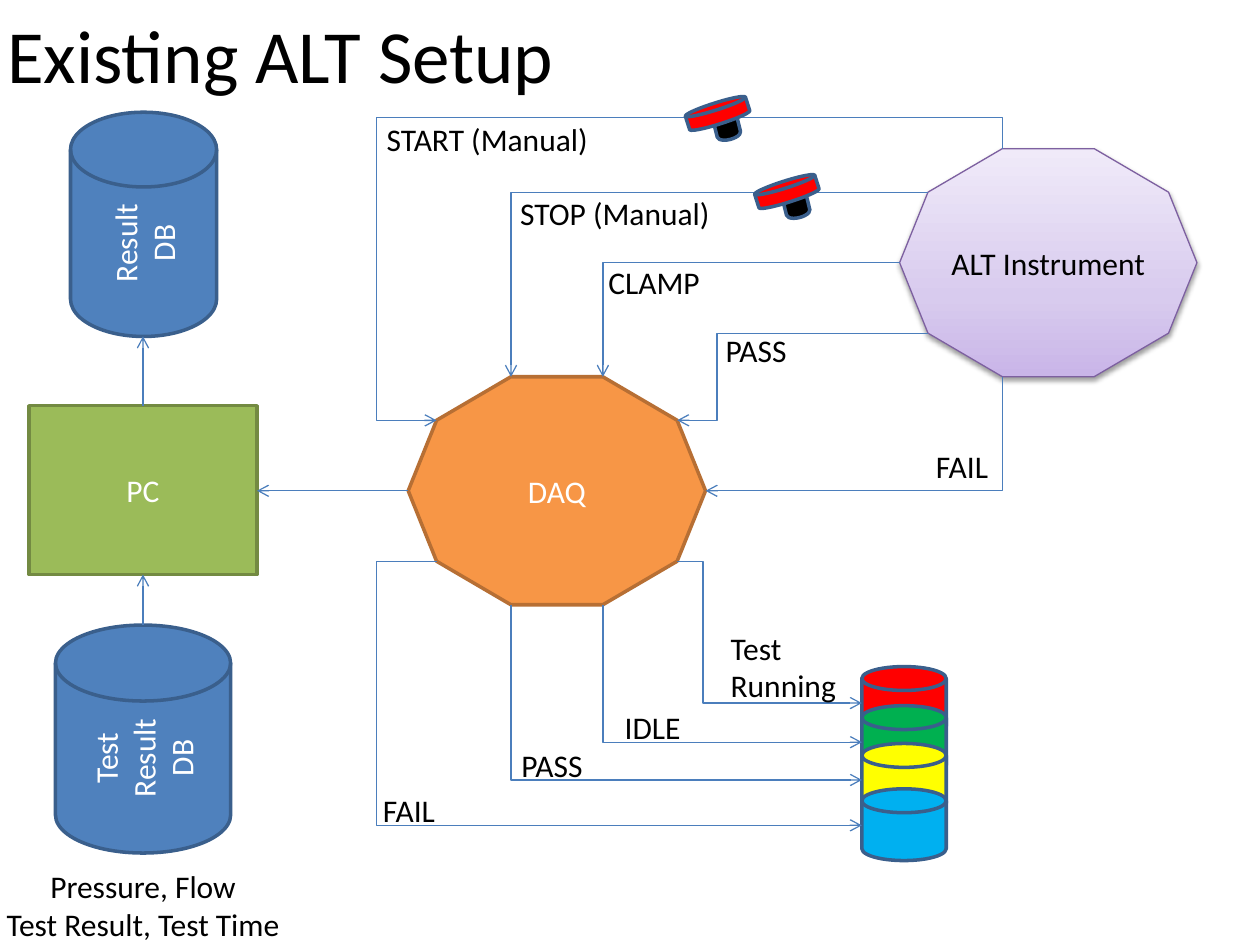
from copy import deepcopy
from math import cos, radians, sin

from lxml.etree import SubElement
from pptx import Presentation
from pptx.dml.color import RGBColor
from pptx.enum.shapes import MSO_CONNECTOR, MSO_SHAPE
from pptx.enum.text import MSO_ANCHOR, MSO_AUTO_SIZE, PP_ALIGN
from pptx.oxml.ns import qn
from pptx.util import Inches, Pt

COLORS = {
    "black": "000000", "white": "FFFFFF", "database": "4F81BD", "drum_line": "3A5F8C",
    "pc": "9BBB59", "pc_line": "738A42", "daq": "F79646", "daq_line": "B76F34",
    "alt_line": "7D60A0", "alt_low": "C9B5E8", "alt_mid": "D8CBEE", "alt_high": "F0EAF9",
    "wire": "4B7EBC", "red": "FF0000", "green": "00B050", "yellow": "FFFF00", "blue": "00B0F0",
}
DRUM = MSO_SHAPE.FLOWCHART_DIRECT_ACCESS_STORAGE


def rgb(name):
    """Return the named palette colour."""
    return RGBColor.from_string(COLORS[name])


def write(frame, lines, color="black", size=18, align=PP_ALIGN.LEFT):
    """Write one paragraph per line into a text frame."""
    for index, line in enumerate(lines):
        paragraph = frame.add_paragraph() if index else frame.paragraphs[0]
        paragraph.alignment = align
        run = paragraph.add_run()
        run.text = line
        run.font.name = "Calibri"
        run.font.size = Pt(size)
        run.font.color.rgb = rgb(color)


def add_block(slide, kind, box, fill, line, text="", color="white", rotation=0, weight=2):
    """Add a filled shape with an optional centred caption."""
    block = slide.shapes.add_shape(kind, *map(Inches, box))
    block.rotation = rotation
    block.shadow.inherit = False
    block.fill.solid()
    block.fill.fore_color.rgb = rgb(fill)
    block.line.color.rgb = rgb(line)
    block.line.width = Pt(weight)
    if text:
        block.text_frame.word_wrap = True
        block.text_frame.vertical_anchor = MSO_ANCHOR.MIDDLE
        write(block.text_frame, [text], color, align=PP_ALIGN.CENTER)
    return block


def add_label(slide, box, *lines, align=PP_ALIGN.LEFT):
    """Add an unwrapped text label."""
    frame = slide.shapes.add_textbox(*map(Inches, box)).text_frame
    frame.word_wrap = False
    frame.auto_size = MSO_AUTO_SIZE.SHAPE_TO_FIT_TEXT
    write(frame, lines, align=align)


def add_wire(slide, start, end, *bends):
    """Add an arrow from start to end, turning at each bend."""
    wire = slide.shapes.add_connector(MSO_CONNECTOR.STRAIGHT, *map(Inches, start + end))
    wire.line.color.rgb = rgb("wire")
    wire.line.width = Pt(0.75)
    SubElement(wire.line._get_or_add_ln(), qn("a:tailEnd"), type="arrow")
    properties = wire._element.spPr
    SubElement(properties, qn("a:effectLst"))
    if bends:
        bend_wire(wire, properties, start, end, bends)


def bend_wire(wire, properties, start, end, bends):
    """Turn a straight wire into an elbow that passes through the bends."""
    dx, dy = end[0] - start[0], end[1] - start[1]
    width, height = abs(dx), abs(dy)
    vertical = bends[0][0] == start[0]
    if vertical:
        turned = dx > 0 or bends[0][1] < start[1]
        rotation = 270 if turned else 90
        flips = (dy > 0) == turned, (dx < 0) == turned
        width, height = height, width
    else:
        turned = bends[0][0] < start[0]
        rotation = 180 if turned else 0
        flips = (dx > 0) == turned, (dy > 0) == turned
    wire.left = Inches((start[0] + end[0] - width) / 2)
    wire.top = Inches((start[1] + end[1] - height) / 2)
    wire.width, wire.height = Inches(width), Inches(height)
    frame = properties.find(qn("a:xfrm"))
    frame.set("rot", str(rotation * 60000))
    for name, flipped in zip(("flipH", "flipV"), flips):
        frame.set(name, str(int(flipped)))
    geometry = properties.find(qn("a:prstGeom"))
    geometry.set("prst", f"bentConnector{len(bends) + 1}")
    guides = geometry.find(qn("a:avLst"))
    if guides is None:
        guides = SubElement(geometry, qn("a:avLst"))
    for index, bend in enumerate(bends[:-1]):
        axis = (index + vertical) % 2
        share = (bend[axis] - start[axis]) / (end[axis] - start[axis])
        SubElement(guides, qn("a:gd"), name=f"adj{index + 1}", fmla=f"val {round(share * 100000)}")


def corner(box, number):
    """Return a decagon corner, counted clockwise from the right."""
    left, top, width, height = box
    angle = radians(36 * number)
    return (left + width / 2 * (1 + cos(angle)),
            top + height / 2 * (1 + sin(angle) / sin(radians(72))))


def add_title(slide, box):
    """Add the slide title."""
    frame = slide.shapes.add_textbox(*map(Inches, box)).text_frame
    frame.word_wrap = True
    frame.vertical_anchor = MSO_ANCHOR.MIDDLE
    write(frame, ["Existing ALT Setup"], size=42.9)


def add_storage(slide, box):
    """Add the PC between its two databases."""
    left, top, width, _ = box
    center = left + width / 2
    add_block(slide, DRUM, (left, top + 4.28, 1.81, 1.39), "database", "drum_line",
              "Test Result DB", rotation=270)
    add_block(slide, DRUM, (left + 0.02, top + 0.31, 1.78, 1.16), "database", "drum_line",
              "Result DB", rotation=270)
    add_block(slide, MSO_SHAPE.RECTANGLE, (left, top + 2.33, width, 1.34), "pc", "pc_line", "PC")
    add_wire(slide, (center, top + 4.07), (center, top + 3.67))
    add_wire(slide, (center, top + 2.33), (center, top + 1.78))
    add_label(slide, (left - 0.29, top + 5.94, 2.39, 0.71), "Pressure, Flow",
              "Test Result, Test Time", align=PP_ALIGN.CENTER)


def add_instrument(slide, box):
    """Add the shaded ALT instrument."""
    instrument = add_block(slide, MSO_SHAPE.DECAGON, box, "alt_low", "alt_line",
                           "ALT Instrument", "black", weight=0.75)
    instrument.fill.gradient()
    instrument.fill.gradient_angle = 90
    properties = instrument._element.spPr
    stops = properties.find(qn("a:gradFill")).find(qn("a:gsLst"))
    stops.insert(1, deepcopy(stops[0]))
    shades = (0, "alt_low"), (0.35, "alt_mid"), (1, "alt_high")
    for stop, (position, shade) in zip(instrument.fill.gradient_stops, shades):
        stop.position = position
        stop.color.rgb = rgb(shade)
    shadow = SubElement(properties.find(qn("a:effectLst")), qn("a:outerShdw"),
                        blurRad=str(Pt(3.1)), dist=str(Pt(1.6)), dir="5400000", rotWithShape="0")
    tint = SubElement(shadow, qn("a:srgbClr"), val=COLORS["black"])
    SubElement(tint, qn("a:alpha"), val="38000")


def add_inputs(slide, instrument, daq):
    """Wire the instrument signals to the DAQ."""
    left, top = daq[:2]
    start, stop, clamp, passed, failed = (corner(instrument, n) for n in (7, 6, 5, 4, 3))
    start_in, stop_in, clamp_in, passed_in, failed_in = (corner(daq, n) for n in (6, 7, 8, 9, 0))
    lane, rise, pass_lane = left - 0.25, top - 2.06, left + 2.45
    add_wire(slide, start, start_in, (start[0], rise), (lane, rise), (lane, start_in[1]))
    add_wire(slide, stop, stop_in, (stop_in[0], stop[1]))
    add_wire(slide, clamp, clamp_in, (clamp_in[0], clamp[1]))
    add_wire(slide, passed, passed_in, (pass_lane, passed[1]), (pass_lane, passed_in[1]))
    add_wire(slide, failed, failed_in, (failed[0], failed_in[1]))
    for x, y, width, text in (
        (-0.27, -2.09, 1.82, "START (Manual)"), (0.79, -1.5, 1.72, "STOP (Manual)"),
        (1.49, -0.95, 0.93, "CLAMP"), (2.42, -0.41, 0.69, "PASS"), (4.09, 0.51, 0.62, "FAIL"),
    ):
        add_label(slide, (left + x, top + y, width, 0.4), text)


def add_outputs(slide, daq, tower):
    """Wire the DAQ to the lamps of the tower."""
    left, top = tower[:2]
    running, idle, passed, failed = (corner(daq, n) for n in (1, 2, 3, 4))
    running_in, idle_in, passed_in, failed_in = (
        (left, top + y) for y in (0.29, 0.6, 0.9, 1.26))
    running_lane, fail_lane = daq[0] + 2.34, daq[0] - 0.25
    add_wire(slide, running, running_in, (running_lane, running[1]), (running_lane, running_in[1]))
    add_wire(slide, idle, idle_in, (idle[0], idle_in[1]))
    add_wire(slide, passed, passed_in, (passed[0], passed_in[1]))
    add_wire(slide, failed, failed_in, (fail_lane, failed[1]), (fail_lane, failed_in[1]))
    for x, y, width, text in (
        (-3.9, 0.94, 0.62, "FAIL"), (-2.8, 0.58, 0.69, "PASS"), (-1.98, 0.28, 0.65, "IDLE"),
    ):
        add_label(slide, (left + x, top + y, width, 0.4), text)
    add_label(slide, (left - 1.14, top - 0.35, 1.05, 0.71), "Test", "Running")


def add_tower(slide, box):
    """Stack the four signal lamps."""
    left, top = box[:2]
    for y, color in ((0, "red"), (0.31, "green"), (0.61, "yellow"), (0.97, "blue")):
        add_block(slide, DRUM, (left + 0.05, top + y - 0.05, 0.57, 0.67), color, "drum_line",
                  rotation=270)


def add_button(slide, left, top):
    """Add a tilted push button."""
    add_block(slide, DRUM, (left + 0.03, top + 0.24, 0.25, 0.19), "black", "drum_line",
              rotation=256.2)
    add_block(slide, DRUM, (left, top, 0.17, 0.5), "red", "drum_line", rotation=252.4)


def main():
    """Build and save the slide."""
    deck = Presentation()
    deck.slide_width, deck.slide_height = Inches(10), Inches(7.5)
    slide = deck.slides.add_slide(deck.slide_layouts[6])
    instrument, daq = (7.14, 1.18, 2.36, 1.81), (3.24, 2.99, 2.36, 1.81)
    tower, storage = (6.84, 5.29, 0.67, 1.54), (0.23, 0.89, 1.81, 6.65)
    add_storage(slide, storage)
    add_tower(slide, tower)
    add_instrument(slide, instrument)
    add_block(slide, MSO_SHAPE.DECAGON, daq, "daq", "daq_line", "DAQ")
    add_inputs(slide, instrument, daq)
    add_outputs(slide, daq, tower)
    add_wire(slide, corner(daq, 5), (storage[0] + storage[2], corner(daq, 5)[1]))
    for left, top in ((5.61, 0.65), (6.16, 1.27)):
        add_button(slide, left, top)
    add_title(slide, (-0.04, -0.2, 9, 1.25))
    deck.save("out.pptx")


if __name__ == "__main__":
    main()
